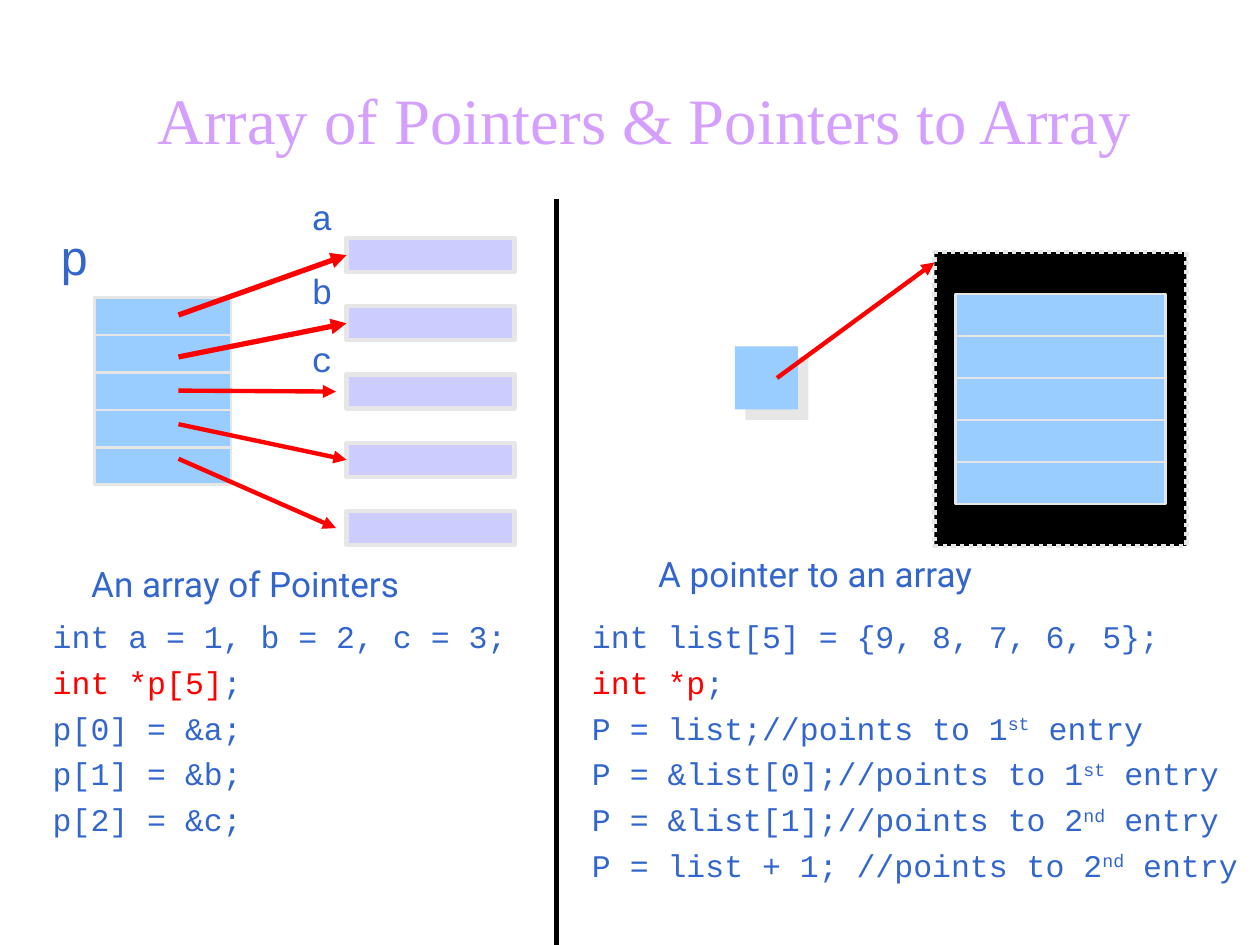
import dataclasses

import pptx
import pptx.dml.color
import pptx.enum.dml
import pptx.enum.shapes
import pptx.enum.text
import pptx.oxml
import pptx.oxml.ns
import pptx.util

COLORS = {
    "title": "D49FFF",
    "text": "3366CC",
    "accent": "FF0000",
    "cell": "99CCFF",
    "target": "CCCCFF",
    "edge": "E7E6E6",
    "black": "000000",
}
CODE_FONT, CAPTION_FONT, TITLE_FONT = "Courier New", "Roboto", "Times New Roman"
UNIT = 1 / 12  # one grid column or row, in inches
COLUMNS, ROWS = 120, 90
HANGING = pptx.util.Inches(0.38)


@dataclasses.dataclass
class Box:
    """A region of the slide, measured in grid columns and rows."""
    column: float
    row: float
    width: float
    height: float

    def inside(self, column, row, width, height):
        return Box(self.column + column, self.row + row, width, height)

    def lengths(self):
        return [grid(value) for value in dataclasses.astuple(self)]


def grid(value):
    return pptx.util.Inches(value * UNIT)


def color(name):
    return pptx.dml.color.RGBColor.from_string(COLORS[name])


def effects(content=""):
    namespace = pptx.oxml.ns.nsdecls("a")
    return pptx.oxml.parse_xml(f"<a:effectLst {namespace}>{content}</a:effectLst>")


def add_rectangle(slide, box, fill, line_width=None):
    shape = slide.shapes.add_shape(
        pptx.enum.shapes.MSO_SHAPE.RECTANGLE, *box.lengths())
    shape.shadow.inherit = False
    shape.fill.solid()
    shape.fill.fore_color.rgb = color(fill)
    if line_width:
        shape.line.color.rgb = color("edge")
        shape.line.width = pptx.util.Pt(line_width)
    else:
        shape.line.fill.background()
    return shape


def add_stack(slide, box, fill, line_width, pitch, count=5):
    """Equal rectangles below each other; box is the first one."""
    for index in range(count):
        cell = box.inside(0, index * pitch, box.width, box.height)
        add_rectangle(slide, cell, fill, line_width)


def add_line(slide, box, start, end, name, width=2.5, arrow=True):
    ends = [grid(value) for point in (start, end)
            for value in (box.column + point[0], box.row + point[1])]
    connector = slide.shapes.add_connector(
        pptx.enum.shapes.MSO_CONNECTOR.STRAIGHT, *ends)
    connector.line.color.rgb = color(name)
    connector.line.width = pptx.util.Pt(width)
    properties = connector.element.spPr
    if arrow:
        outline = properties.find(pptx.oxml.ns.qn("a:ln"))
        outline.append(pptx.oxml.parse_xml(
            f'<a:tailEnd {pptx.oxml.ns.nsdecls("a")} type="triangle"/>'))
    properties.append(effects())


def add_text(slide, box, paragraphs, font, size, space_before=None):
    """Each paragraph is a list of (text, colour name, raised) runs."""
    frame = slide.shapes.add_textbox(*box.lengths()).text_frame
    frame.word_wrap = True
    for index, runs in enumerate(paragraphs):
        paragraph = frame.paragraphs[0] if index == 0 else frame.add_paragraph()
        if space_before:
            paragraph.space_before = pptx.util.Pt(space_before)
            properties = paragraph._p.get_or_add_pPr()
            properties.set("marL", str(HANGING))
            properties.set("indent", str(-HANGING))
        for text, name, raised in runs:
            run = paragraph.add_run()
            run.text = text
            run.font.name = font
            run.font.size = pptx.util.Pt(size)
            run.font.color.rgb = color(name)
            if raised:
                run._r.get_or_add_rPr().set("baseline", "30000")
    return frame


def plain(text, name="text"):
    return (text, name, False)


def ordinal(statement, number, suffix):
    return [plain(f"{statement}//points to {number}"),
            (suffix, "text", True), plain(" entry")]


def add_label(slide, box, text, font=CODE_FONT, size=20):
    add_text(slide, box, [[plain(text)]], font, size, size / 4)


def add_code(slide, box, lines):
    add_text(slide, box, lines, CODE_FONT, 18, 4.5)


def add_title(slide, box):
    frame = add_text(slide, box, [[plain(
        "Array of Pointers & Pointers to Array", "title")]], TITLE_FONT, 37)
    frame.vertical_anchor = pptx.enum.text.MSO_ANCHOR.BOTTOM
    frame.paragraphs[0].alignment = pptx.enum.text.PP_ALIGN.CENTER
    frame.paragraphs[0].line_spacing = 0.9


def add_array_of_pointers(slide, box):
    # Pointer cells and the variables they point to
    target_row, target_pitch, target_height = 3.67, 6.5, 3.25
    add_stack(slide, box.inside(6, 9.33, 13, 3.57), "cell", 1.5, 3.57)
    add_stack(slide, box.inside(30, target_row, 16, target_height),
              "target", 2.5, target_pitch)

    # Variable names
    for text, row in (("a", -1), ("b", 6.1), ("c", 12.6)):
        add_label(slide, box.inside(25.5, row, 13.3, 5.3), text)
    add_label(slide, box.inside(1.5, 2, 14, 6.8), "p", size=28)

    # Arrows: start row, end column, line width
    arrows = ((11, 30, 3), (15, 30, 3), (18.2, 29, 2.5),
              (21.4, 30, 2.5), (24.7, 29, 2.5))
    for index, (start_row, end_column, width) in enumerate(arrows):
        end_row = target_row + target_height / 2 + index * target_pitch
        add_line(slide, box, (14, start_row), (end_column, end_row),
                 "accent", width)

    # Caption and code
    add_label(slide, box.inside(4.5, 34, 42.6, 5.3),
              "An array of Pointers", CAPTION_FONT)
    add_code(slide, box.inside(0.84, 39.2, 48.1, 22.2), [
        [plain("int a = 1, b = 2, c = 3;")],
        [plain("int *p[5]", "accent"), plain(";")],
        *([plain(f"p[{index}] = &{name};")] for index, name in enumerate("abc")),
    ])


def add_pointer_to_array(slide, box):
    # Framed array
    frame = add_rectangle(slide, box.inside(35, 5, 24, 28), "black", 2.5)
    frame.line.dash_style = pptx.enum.dml.MSO_LINE.ROUND_DOT
    add_stack(slide, box.inside(37, 9, 20, 4), "cell", 1.5, 4)

    # Pointer with a hard shadow, and its arrow
    pointer = add_rectangle(slide, box.inside(16, 14, 6, 6), "cell")
    properties = pointer.element.spPr
    properties.remove(properties.find(pptx.oxml.ns.qn("a:effectLst")))
    properties.append(effects(
        f'<a:outerShdw dist="{pptx.util.Pt(8.5)}" dir="2700000" algn="ctr" '
        f'rotWithShape="0"><a:srgbClr val="{COLORS["edge"]}"/></a:outerShdw>'))
    add_line(slide, box, (20, 17), (35, 6), "accent")

    # Caption and code
    add_label(slide, box.inside(7.5, 33, 43.8, 5.3),
              "A pointer to an array", CAPTION_FONT)
    add_code(slide, box.inside(1.2, 39.2, 64.8, 26.6), [
        [plain("int list[5] = {9, 8, 7, 6, 5};")],
        [plain("int *p", "accent"), plain(";")],
        ordinal("P = list;", 1, "st"),
        ordinal("P = &list[0];", 1, "st"),
        ordinal("P = &list[1];", 2, "nd"),
        ordinal("P = list + 1; ", 2, "nd"),
    ])


def main():
    presentation = pptx.Presentation()
    presentation.slide_width = grid(COLUMNS)
    presentation.slide_height = grid(ROWS)
    slide = presentation.slides.add_slide(presentation.slide_layouts[6])
    page = Box(0, 0, COLUMNS, ROWS)
    add_title(slide, page.inside(9.7, 6.7, 103.3, 9))
    add_array_of_pointers(slide, page.inside(3, 19, 49, 71))
    add_line(slide, page, (53, 19), (53, ROWS), "black", arrow=False)
    add_pointer_to_array(slide, page.inside(54, 19, 66, 71))
    presentation.save("out.pptx")


if __name__ == "__main__":
    main()
